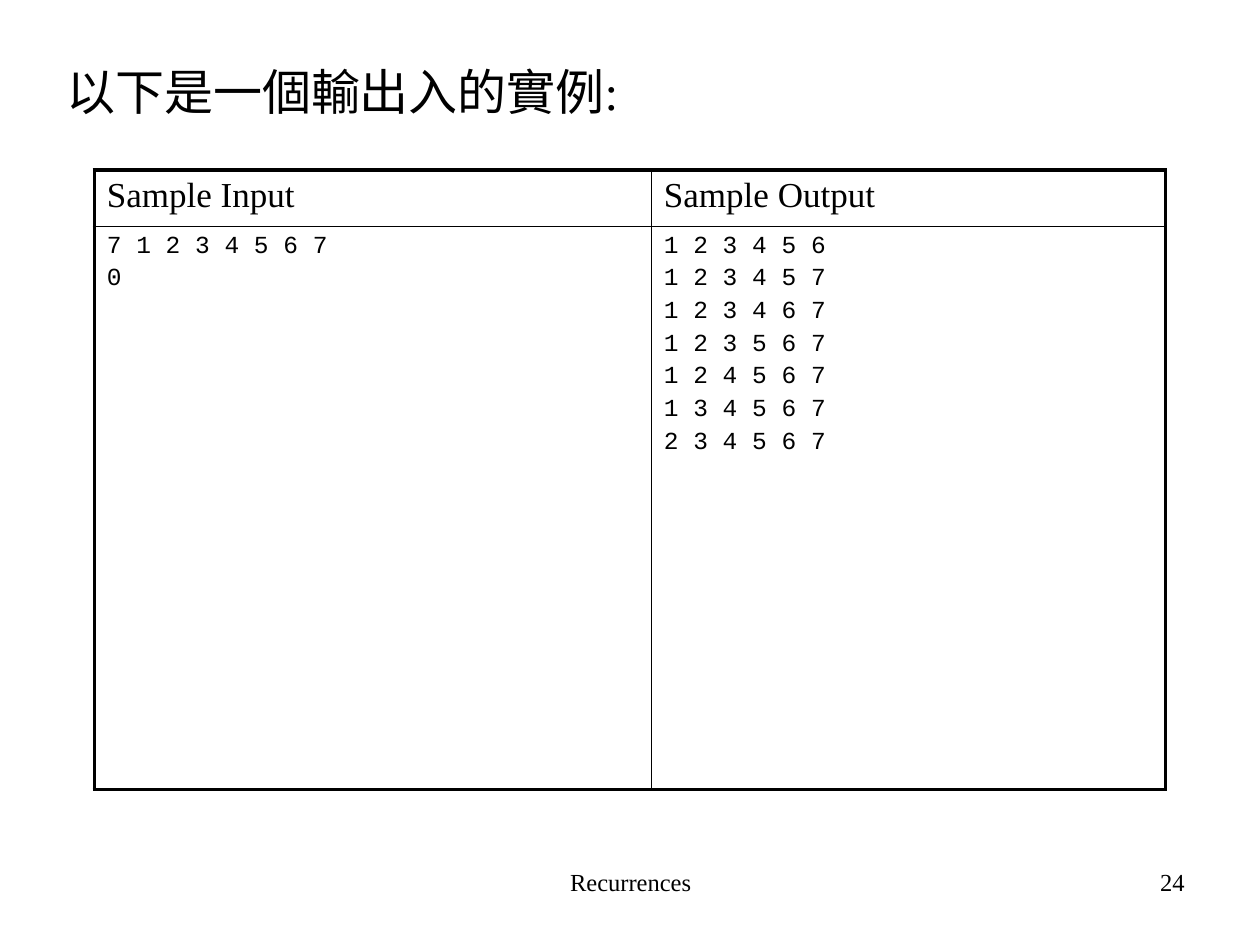
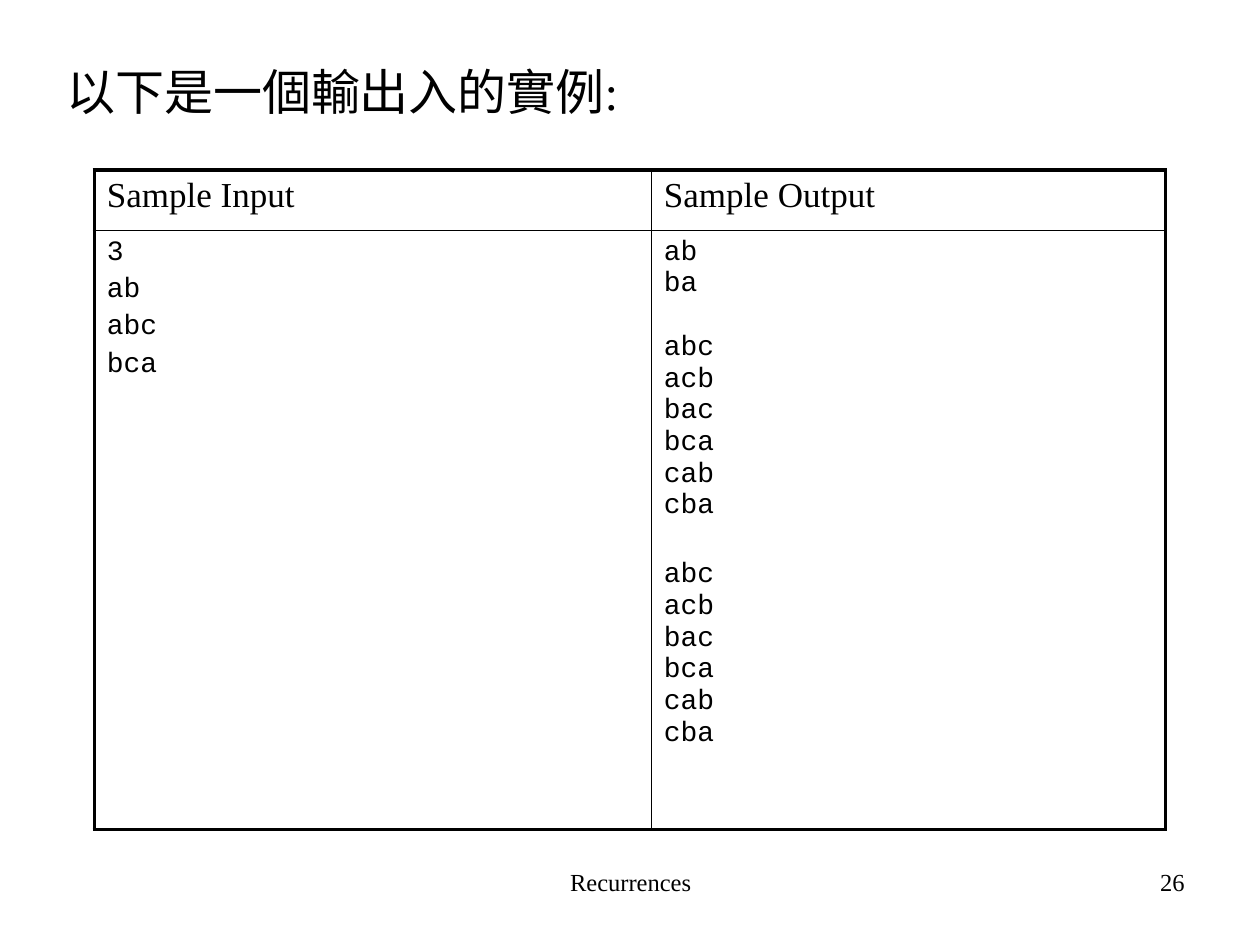
from lxml import etree
from pptx import Presentation
from pptx.dml.color import RGBColor
from pptx.enum.text import PP_ALIGN
from pptx.oxml.ns import qn
from pptx.util import Cm, Pt

LEFT, MID, RIGHT = PP_ALIGN.LEFT, PP_ALIGN.CENTER, PP_ALIGN.RIGHT
BLACK = RGBColor(0, 0, 0)
SERIF, MONO = "Times New Roman", "Courier New"
THICK, THIN = Pt(2.25), Pt(1)
COLS = (11.23, 10.36)
HEADS = ("Sample Input", "Sample Output")
TITLE = "以下是一個輸出入的實例:"


def write(frame, blocks, size=14, font=SERIF, align=LEFT, gaps=None):
    frame.word_wrap = True
    gaps = gaps or [size * 0.2] * len(blocks)
    lines = [(line, gap if num == 0 else 0)
             for block, gap in zip(blocks, gaps)
             for num, line in enumerate(block.split("\n"))]
    for num, (line, gap) in enumerate(lines):
        para = frame.add_paragraph() if num else frame.paragraphs[0]
        para.alignment = align
        para.space_before = Pt(gap)
        run = para.add_run()
        run.text = line
        run.font.size = Pt(size)
        run.font.name = font
        run.font.color.rgb = BLACK


def add_text(slide, text, left, top, width, height, **form):
    box = slide.shapes.add_textbox(Cm(left), Cm(top), Cm(width), Cm(height))
    write(box.text_frame, [text], **form)


def add_edges(cell, widths):
    props = cell._tc.get_or_add_tcPr()
    for num, (side, width) in enumerate(zip("LRTB", widths)):
        line = etree.Element(qn(f"a:ln{side}"), w=str(width))
        fill = etree.SubElement(line, qn("a:solidFill"))
        etree.SubElement(fill, qn("a:srgbClr"), val=str(BLACK))
        props.insert(num, line)


def add_grid(slide, rows, size, data, gaps):
    table = slide.shapes.add_table(2, 2, Cm(1.9), Cm(3.43),
                                   Cm(sum(COLS)), Cm(sum(rows))).table
    table.first_row = table.horz_banding = False
    for i in range(2):
        table.columns[i].width = Cm(COLS[i])
        table.rows[i].height = Cm(rows[i])
    for col in range(2):
        write(table.cell(0, col).text_frame, [HEADS[col]], size=20)
        write(table.cell(1, col).text_frame, data[col], size=size,
              font=MONO, gaps=gaps[col])
        for row in range(2):
            cell = table.cell(row, col)
            cell.fill.background()
            outer = (col == 0, col == 1, row == 0, row == 1)
            add_edges(cell, [THICK if side else THIN for side in outer])


def add_page(deck, number, rows, size, data, gaps=(None, None)):
    slide = deck.slides.add_slide(deck.slide_layouts[6])
    add_text(slide, "Recurrences", 8.69, 17.35, 8.05, 1.32,
             align=MID, gaps=[0])
    add_text(slide, number, 18.21, 17.35, 5.92, 1.32, align=RIGHT, gaps=[0])
    add_text(slide, TITLE, 1.09, 1.12, 22.86, 12.57, size=28)
    add_grid(slide, rows, size, data, gaps)


def main():
    deck = Presentation()
    deck.slide_width, deck.slide_height = Cm(25.4), Cm(19.05)
    picks = ["1 2 3 4 5 6", "1 2 3 4 5 7", "1 2 3 4 6 7", "1 2 3 5 6 7",
             "1 2 4 5 6 7", "1 3 4 5 6 7", "2 3 4 5 6 7"]
    add_page(deck, "24", (1.14, 11.35), 14,
             (["7 1 2 3 4 5 6 7", "0"], picks))
    perms = "abc\nacb\nbac\nbca\ncab\ncba"
    add_page(deck, "26", (1.22, 12.07), 16,
             (["3", "ab", "abc", "bca"], ["ab\nba", perms, perms]),
             (None, [3.2, 18.1, 21.3]))
    deck.save("out.pptx")


if __name__ == "__main__":
    main()
